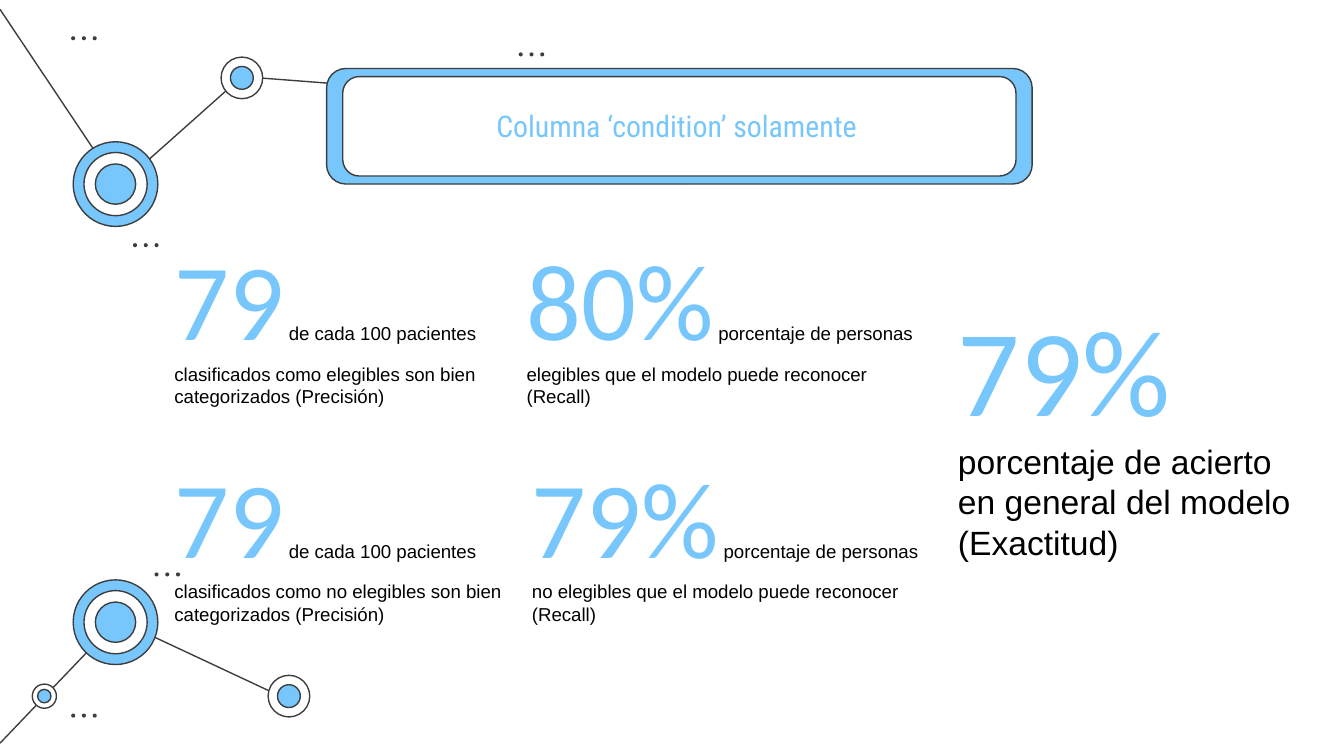
"""Build the slide with the model metrics for the 'condition' column."""
import pptx
import pptx.dml.color
import pptx.enum.shapes
import pptx.enum.text
import pptx.oxml
import pptx.oxml.ns
import pptx.util

Inches = pptx.util.Inches
MSO_SHAPE = pptx.enum.shapes.MSO_SHAPE
SKY = pptx.dml.color.RGBColor(0x77, 0xC6, 0xFC)
WHITE = pptx.dml.color.RGBColor(0xFF, 0xFF, 0xFF)
CHARCOAL = pptx.dml.color.RGBColor(0x3D, 0x3D, 0x3D)
BLACK = pptx.dml.color.RGBColor(0, 0, 0)

SLIDE_WIDTH = 10
SLIDE_HEIGHT = SLIDE_WIDTH * 9 / 16

TITLE = "Columna ‘condition’ solamente"
METRICS = [
    ("79", "de cada 100 pacientes clasificados como elegibles son bien categorizados (Precisión)",
     (1.2, 1.63, 2.66, 1.52), (58, 9, 10)),
    ("79", "de cada 100 pacientes clasificados como no elegibles son bien categorizados (Precisión)",
     (1.2, 3.25, 2.66, 1.52), (58, 9, 10)),
    ("80%", "porcentaje de personas elegibles que el modelo puede reconocer (Recall)",
     (3.82, 1.63, 3.12, 1.52), (58, 9, 10)),
    ("79%", "porcentaje de personas no elegibles que el modelo puede reconocer (Recall)",
     (3.86, 3.25, 3.12, 1.52), (58, 9, 10)),
    ("79%", "porcentaje de acierto en general del modelo (Exactitud)",
     (7.03, 2.08, 2.8, 2.22), (66, 17, 18)),
]

LINKS = [
    ((1.8, 0.57), (3.63, 0.71)),
    ((0.88, 1.39), (1.79, 0.58)),
    ((0, 0.07), (0.87, 1.37)),
    ((0.87, 4.61), (2.13, 5.2)),
    ((0, 5.53), (0.87, 4.62)),
]
LARGE_NODE = [(0.63, SKY), (0.47, WHITE), (0.3, SKY)]
MEDIUM_NODE = [(0.31, WHITE), (0.17, SKY)]
SMALL_NODE = [(0.18, WHITE), (0.1, SKY)]
NODES = [
    ((0.86, 1.37), LARGE_NODE),
    ((1.8, 0.58), MEDIUM_NODE),
    ((0.86, 4.63), LARGE_NODE),
    ((2.15, 5.18), MEDIUM_NODE),
    ((0.33, 5.18), SMALL_NODE),
]
DOT_ROWS = [(3.86, 0.39), (0.53, 0.27), (0.99, 1.81), (0.53, 5.31), (1.15, 4.26)]
DOT_SIZE, DOT_STEP = 0.03, 0.08
FRAMES = [((2.43, 0.51, 5.25, 0.86), SKY), ((2.55, 0.57, 5.01, 0.74), WHITE)]
TITLE_BOX = (2.53, 0.6, 5.01, 0.67)


def inches(values):
    return [Inches(value) for value in values]


def add_link(slide, start, end):
    link = slide.shapes.add_connector(
        pptx.enum.shapes.MSO_CONNECTOR.STRAIGHT, *inches(start + end))
    link.line.color.rgb = CHARCOAL
    link.line.width = pptx.util.Pt(0.75)
    properties = link.element.find(pptx.oxml.ns.qn("p:spPr"))
    properties.append(pptx.oxml.parse_xml(
        f"<a:effectLst {pptx.oxml.ns.nsdecls('a')}/>"))


def add_figure(slide, kind, box, fill, outlined=True):
    shape = slide.shapes.add_shape(kind, *inches(box))
    shape.shadow.inherit = False
    shape.fill.solid()
    shape.fill.fore_color.rgb = fill
    if outlined:
        shape.line.color.rgb = CHARCOAL
        shape.line.width = pptx.util.Pt(0.75)
    else:
        shape.line.fill.background()


def add_node(slide, center, rings):
    x, y = center
    for diameter, fill in rings:
        box = (x - diameter / 2, y - diameter / 2, diameter, diameter)
        add_figure(slide, MSO_SHAPE.OVAL, box, fill)


def add_text(paragraph, text, *, size, font, color):
    run = paragraph.add_run()
    run.text = text
    run.font.size = pptx.util.Pt(size)
    run.font.name = font
    run.font.color.rgb = color


def prepare_frame(shape, auto_size):
    frame = shape.text_frame
    frame.word_wrap = True
    frame.auto_size = auto_size
    frame.margin_left = frame.margin_right = Inches(0.1)
    frame.margin_top = frame.margin_bottom = Inches(0.1)
    return frame


def add_title(slide):
    title = slide.shapes.title
    title.left, title.top, title.width, title.height = inches(TITLE_BOX)
    title.element.getparent().append(title.element)
    frame = prepare_frame(title, pptx.enum.text.MSO_AUTO_SIZE.NONE)
    frame.vertical_anchor = pptx.enum.text.MSO_ANCHOR.MIDDLE
    paragraph = frame.paragraphs[0]
    paragraph.alignment = pptx.enum.text.PP_ALIGN.CENTER
    add_text(paragraph, TITLE, size=16, font="Roboto Condensed", color=SKY)


def add_metric(slide, figure, description, box, sizes):
    figure_size, gap_size, description_size = sizes
    textbox = slide.shapes.add_textbox(*inches(box))
    frame = prepare_frame(textbox, pptx.enum.text.MSO_AUTO_SIZE.SHAPE_TO_FIT_TEXT)
    paragraph = frame.paragraphs[0]
    add_text(paragraph, figure, size=figure_size, font="Calibri", color=SKY)
    add_text(paragraph, " ", size=gap_size, font="Arial", color=BLACK)
    add_text(paragraph, description, size=description_size, font="Arial", color=BLACK)


def main():
    presentation = pptx.Presentation()
    presentation.slide_width = Inches(SLIDE_WIDTH)
    presentation.slide_height = Inches(SLIDE_HEIGHT)
    slide = presentation.slides.add_slide(
        presentation.slide_layouts.get_by_name("Title Only"))
    for start, end in LINKS:
        add_link(slide, start, end)
    for center, rings in NODES:
        add_node(slide, center, rings)
    for left, top in DOT_ROWS:
        for index in range(3):
            box = (left + index * DOT_STEP, top, DOT_SIZE, DOT_SIZE)
            add_figure(slide, MSO_SHAPE.OVAL, box, CHARCOAL, outlined=False)
    for box, fill in FRAMES:
        add_figure(slide, MSO_SHAPE.ROUNDED_RECTANGLE, box, fill)
    add_title(slide)
    for metric in METRICS:
        add_metric(slide, *metric)
    presentation.save("out.pptx")


if __name__ == "__main__":
    main()
